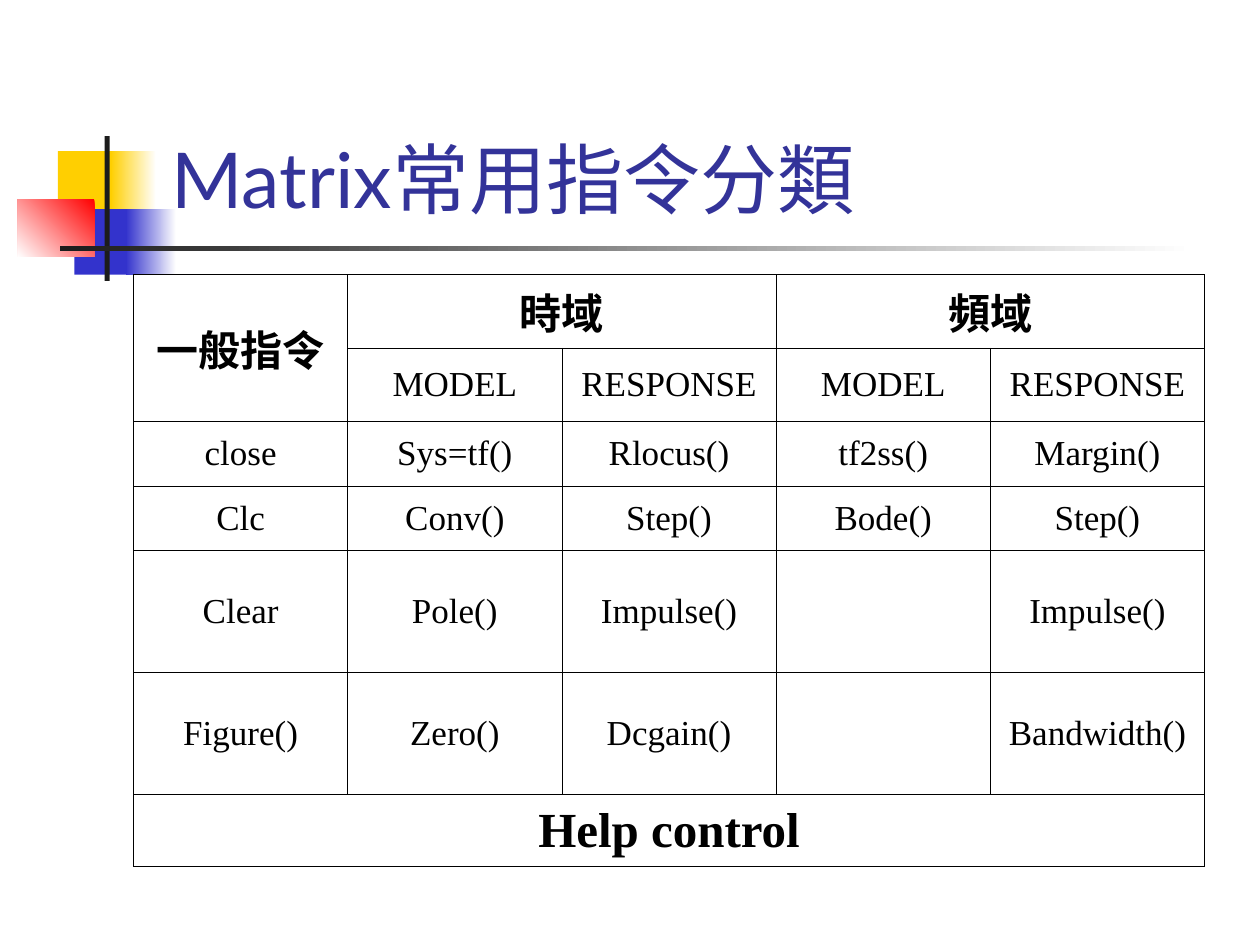
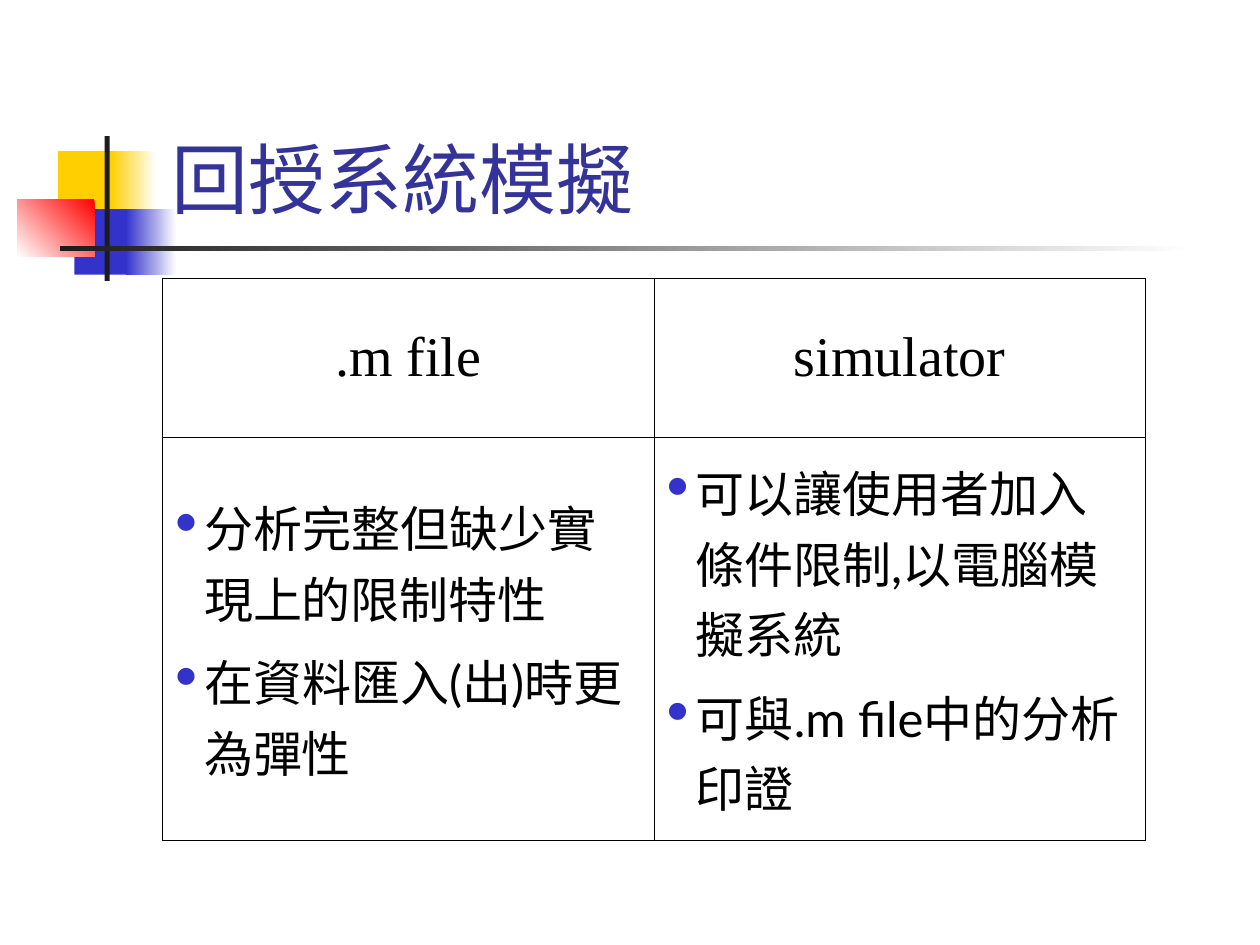
"""Build two slides on matrix-tool commands and feedback system simulation."""
from lxml import etree
from pptx import Presentation, util as u
from pptx.dml.color import RGBColor
from pptx.enum import shapes, text
from pptx.oxml import ns

COLORS = dict(yellow="FFCF01", blue="3333CC", red="FF0000", white="FFFFFF",
              dark="1C1C1C", title="333399", ink="000000")
SANS, SERIF, CJK = "Lato", "Times New Roman", "Noto Sans CJK SC"
BORDER = 0.45
TITLE_BOX = (1.26, 0.23, 8.52, 1.6)

DECORATION = [
    ((0.46, 1.2, 0.48, 0.52), ("yellow",), None),
    ((0.88, 1.2, 0.36, 0.52), ("white", "yellow"), 180),
    ((0.59, 1.66, 0.46, 0.52), ("blue",), None),
    ((1, 1.66, 0.4, 0.52), ("white", "blue"), 180),
    ((0.14, 1.58, 0.61, 0.46), ("red", "white"), 225),
    ((0.83, 1.08, 0.04, 1.15), ("dark",), None),
    ((0.48, 1.95, 9, 0.04), ("white", "dark"), 180),
]

HEAD = dict(size=24, bold=True)
BODY = dict(size=20)
CLOSING = dict(size=28, bold=True)
TOOL = dict(size=32, indent=0.38)
POINTS = dict(size=28, font=SANS, bullet=True, indent=0.23)

SLIDES = [
    dict(
        title="Matrix常用指令分類",
        place=(1.06, 2.18, 8.5),
        heights=[0.58, 0.58, 0.51, 0.51, 0.97, 0.97, 0.57],
        merges=[((0, 0), (1, 0)), ((0, 1), (0, 2)), ((0, 3), (0, 4)), ((6, 0), (6, 4))],
        styles=[HEAD] + [BODY] * 5 + [CLOSING],
        rows=[
            ["一般指令", "時域", "", "頻域", ""],
            ["", "MODEL", "RESPONSE", "MODEL", "RESPONSE"],
            ["close", "Sys=tf()", "Rlocus()", "tf2ss()", "Margin()"],
            ["Clc", "Conv()", "Step()", "Bode()", "Step()"],
            ["Clear", "Pole()", "Impulse()", "", "Impulse()"],
            ["Figure()", "Zero()", "Dcgain()", "", "Bandwidth()"],
            ["Help control", "", "", "", ""],
        ],
    ),
    dict(
        title="回授系統模擬",
        place=(1.29, 2.21, 7.8),
        heights=[1.26, 3.2],
        merges=[],
        styles=[TOOL, POINTS],
        rows=[
            [".m file", "simulator"],
            ["分析完整但缺少實現上的限制特性\n在資料匯入(出)時更為彈性",
             "可以讓使用者加入條件限制,以電腦模擬系統\n可與.m file中的分析印證"],
        ],
    ),
]


def inches(*values):
    return [u.Inches(value) for value in values]


def rgb(name):
    return RGBColor.from_string(COLORS[name])


def add_child(parent, tag, **attributes):
    return etree.SubElement(parent, ns.qn(tag), {k: str(v) for k, v in attributes.items()})


def format_span(span, size, font, color, bold=False):
    span.font.size = u.Pt(size)
    span.font.bold = bold
    span.font.color.rgb = rgb(color)
    span.font.name = font
    add_child(span.font._element, "a:ea", typeface=CJK)


def decorate_master(deck, page):
    for index, (place, colors, angle) in enumerate(DECORATION):
        box = page.shapes.add_shape(shapes.MSO_SHAPE.RECTANGLE, *inches(*place))
        box.shadow.inherit = False
        box.line.fill.background()
        if angle is None:
            box.fill.solid()
            box.fill.fore_color.rgb = rgb(colors[0])
        else:
            box.fill.gradient()
            box.fill.gradient_angle = angle
            for stop, name in zip(box.fill.gradient_stops, colors):
                stop.color.rgb = rgb(name)
        box.element.nvSpPr.cNvPr.id = 20 + index
        deck.slide_master.shapes.element.insert(2 + index, box.element)


def set_title(page, words):
    box = page.shapes.title
    box.left, box.top, box.width, box.height = inches(*TITLE_BOX)
    frame = box.text_frame
    frame.text = words
    frame.auto_size = text.MSO_AUTO_SIZE.NONE
    frame.vertical_anchor = text.MSO_ANCHOR.BOTTOM
    para = frame.paragraphs[0]
    para.alignment = text.PP_ALIGN.LEFT
    format_span(para.runs[0], 44, SANS, "title")


def format_para(para, size, font=SERIF, bold=False, bullet=False, indent=0):
    para.alignment = text.PP_ALIGN.LEFT if bullet else text.PP_ALIGN.CENTER
    props = para._p.get_or_add_pPr()
    props.set("marL", str(u.Inches(indent)))
    props.set("indent", str(-u.Inches(indent)))
    if bullet:
        para.space_before = u.Pt(7)
        add_child(add_child(props, "a:buClr"), "a:srgbClr", val=COLORS["blue"])
        add_child(props, "a:buSzPct", val=60000)
        add_child(props, "a:buFont", typeface="Wingdings", charset=2)
        add_child(props, "a:buChar", char="l")
    for span in para.runs:
        format_span(span, size, font, "ink", bold)


def format_cell(cell, words, style):
    cell.vertical_anchor = text.MSO_ANCHOR.MIDDLE
    props = cell._tc.get_or_add_tcPr()
    for side in "LRTB":
        line = add_child(props, f"a:ln{side}", w=u.Pt(BORDER))
        add_child(add_child(line, "a:solidFill"), "a:srgbClr", val=COLORS["ink"])
    cell.fill.background()
    cell.text_frame.text = words
    for para in cell.text_frame.paragraphs:
        format_para(para, **style)


def add_grid(page, item):
    rows, heights = item["rows"], item["heights"]
    columns = len(rows[0])
    left, top, width = item["place"]
    table = page.shapes.add_table(
        len(rows), columns, *inches(left, top, width, sum(heights))).table
    table.first_row = table.horz_banding = False
    for column in table.columns:
        column.width = u.Inches(width / columns)
    for row, height in zip(table.rows, heights):
        row.height = u.Inches(height)
    for first, last in item["merges"]:
        table.cell(*first).merge(table.cell(*last))
    for r, (words, style) in enumerate(zip(rows, item["styles"])):
        for c, word in enumerate(words):
            format_cell(table.cell(r, c), word, style)


deck = Presentation()
deck.slide_width, deck.slide_height = inches(10, 7.5)
title_only = deck.slide_layouts[5]
for number, item in enumerate(SLIDES):
    page = deck.slides.add_slide(title_only)
    if number == 0:
        decorate_master(deck, page)
    set_title(page, item["title"])
    add_grid(page, item)
deck.save("out.pptx")
